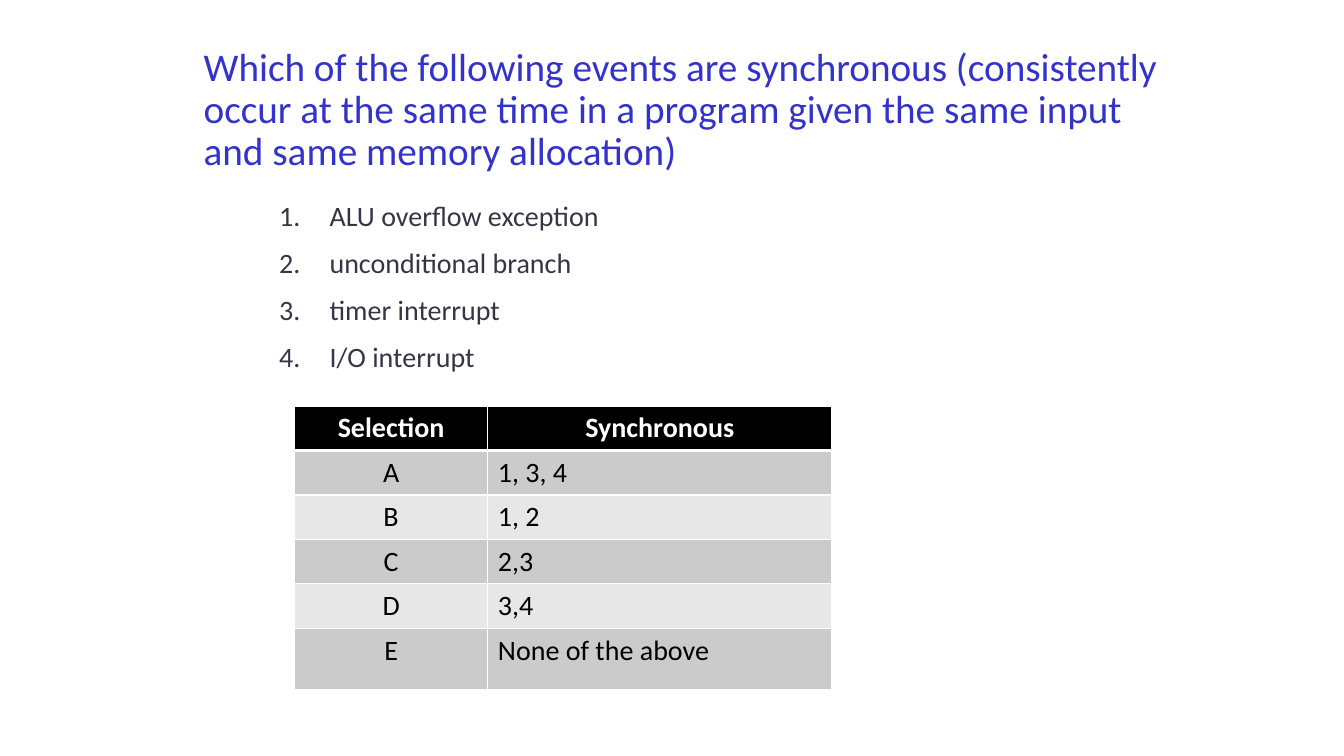
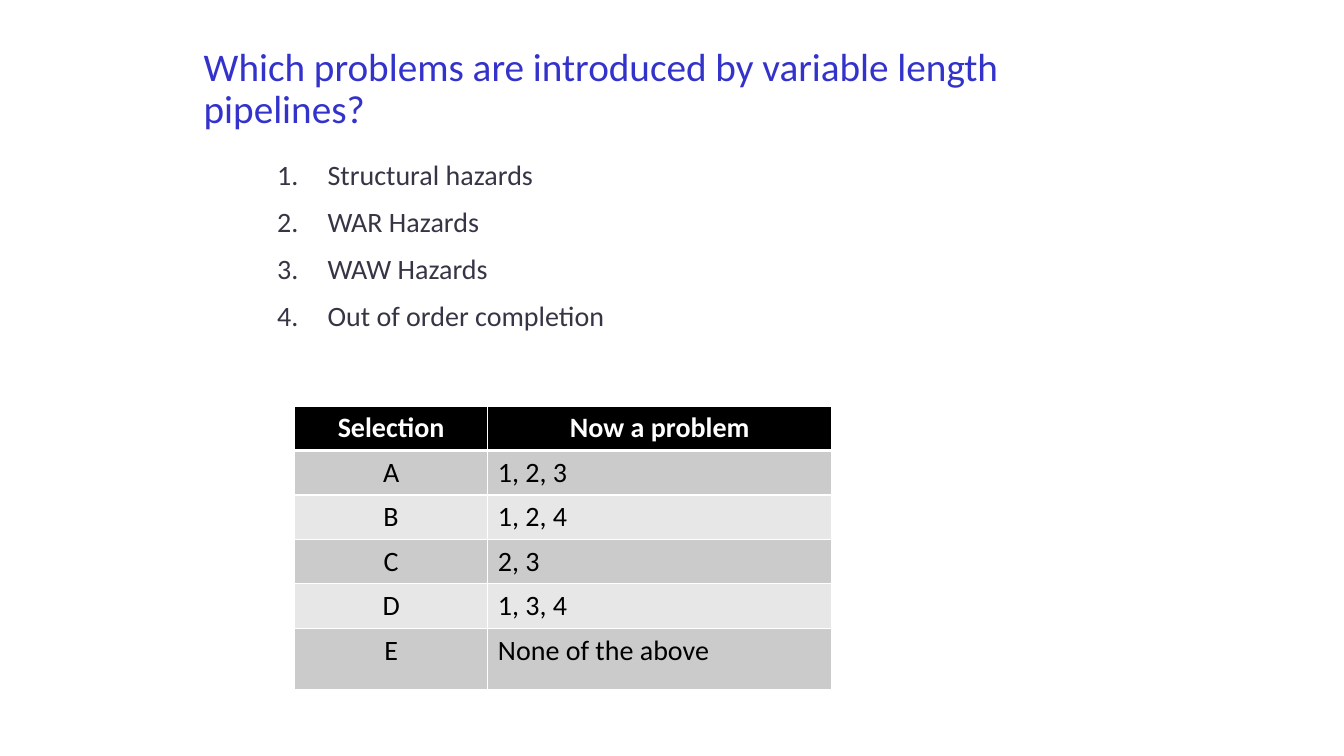
from lxml.etree import SubElement
from pptx import Presentation
from pptx.dml.color import RGBColor
from pptx.enum.text import MSO_ANCHOR as Anchor, MSO_AUTO_SIZE as AutoSize, PP_ALIGN as Align
from pptx.oxml import parse_xml
from pptx.oxml.ns import nsdecls, qn
from pptx.util import Inches, Pt

QUESTIONS = [
    {
        "title": "Which of the following events are synchronous (consistently occur at the same time "
                 "in a program given the same input and same memory allocation)",
        "statements": ["ALU overflow exception", "unconditional branch", "timer interrupt", "I/O interrupt"],
        "list_at": (2.67, 1.92),
        "heading": "Synchronous",
        "answers": ["1, 3, 4", "1, 2", "2,3", "3,4", "None of the above"],
    },
    {
        "title": "Which problems are introduced by variable length pipelines?",
        "statements": ["Structural hazards", "WAR Hazards", "WAW Hazards", "Out of order completion"],
        "list_at": (2.65, 1.51),
        "heading": "Now a problem",
        "answers": ["1, 2, 3", "1, 2, 4", "2, 3", "1, 3, 4", "None of the above"],
    },
]

THEME = {
    "white": RGBColor.from_string("FFFFFF"),
    "header": RGBColor.from_string("000000"),
    "bands": [RGBColor.from_string("CBCBCB"), RGBColor.from_string("E7E7E7")],
    "title": {"name": "Calibri", "size": Pt(28), "color": RGBColor.from_string("3333CC")},
    "list": {"name": "Calibri", "size": Pt(20), "color": RGBColor.from_string("373545")},
    "head": {"name": "Calibri", "size": Pt(20), "color": RGBColor.from_string("FFFFFF"), "bold": True},
    "cell": {"name": "Calibri", "size": Pt(20), "color": RGBColor.from_string("000000"), "bold": False},
}
SLIDE_SIZE = (13.33, 7.5)
TITLE_BOX = (1.92, 0.42, 9.67, 1.33)
LIST_SIZE = (7.75, 1.95)
TABLE_AT = (2.92, 4.03)
TABLE_WIDTH = 5.33
COLUMN_SHARES = (0.36, 0.64)
ROW_HEIGHT, LAST_ROW_HEIGHT = 0.44, 0.61
HANGING_INDENT = 0.5


def inches(*lengths):
    return [Inches(length) for length in lengths]


def set_font(paragraph, style):
    for attribute, value in style.items():
        if attribute == "color":
            paragraph.font.color.rgb = value
        else:
            setattr(paragraph.font, attribute, value)


def set_frame(frame):
    for attribute, value in {"word_wrap": True, "auto_size": AutoSize.NONE,
                             "vertical_anchor": Anchor.TOP}.items():
        setattr(frame, attribute, value)


def add_title(slide, text):
    title = slide.shapes.title
    title.left, title.top, title.width, title.height = inches(*TITLE_BOX)
    title.fill.solid()
    title.fill.fore_color.rgb = THEME["white"]
    set_frame(title.text_frame)
    title.text_frame.text = text
    paragraph = title.text_frame.paragraphs[0]
    paragraph.alignment = Align.LEFT
    paragraph.line_spacing = 0.9
    set_font(paragraph, THEME["title"])


def add_numbered_list(slide, statements, position):
    frame = slide.shapes.add_textbox(*inches(*position, *LIST_SIZE)).text_frame
    set_frame(frame)
    frame.text = "\n".join(statements)
    for index, paragraph in enumerate(frame.paragraphs):
        properties = paragraph._p.get_or_add_pPr()
        properties.set("marL", str(Inches(HANGING_INDENT)))
        properties.set("indent", str(-Inches(HANGING_INDENT)))
        SubElement(properties, qn("a:buFont"), typeface="+mj-lt")
        SubElement(properties, qn("a:buAutoNum"), type="arabicPeriod")
        paragraph.space_before = Pt(9.6 if index else 0)
        set_font(paragraph, THEME["list"])


def set_borders(cell, row):
    widths = {"L": 1, "R": 1, "T": 3 if row == 1 else 1, "B": 3 if row == 0 else 1}
    properties = cell._tc.get_or_add_tcPr()
    for index, (side, width) in enumerate(widths.items()):
        properties.insert(index, parse_xml(
            f'<a:ln{side} {nsdecls("a")} w="{Pt(width)}"><a:solidFill>'
            f'<a:srgbClr val="{THEME["white"]}"/></a:solidFill></a:ln{side}>'))


def add_answer_table(slide, heading, answers):
    rows = [("Selection", heading), *zip("ABCDE", answers)]
    heights = [ROW_HEIGHT] * (len(rows) - 1) + [LAST_ROW_HEIGHT]
    table = slide.shapes.add_table(
        len(rows), len(COLUMN_SHARES), *inches(*TABLE_AT, TABLE_WIDTH, sum(heights))).table
    table.horz_banding = False
    for column, share in zip(table.columns, COLUMN_SHARES):
        column.width = Inches(TABLE_WIDTH * share)
    for row, (texts, height) in enumerate(zip(rows, heights)):
        table.rows[row].height = Inches(height)
        for column, text in enumerate(texts):
            cell = table.cell(row, column)
            cell.text = text
            cell.fill.solid()
            cell.fill.fore_color.rgb = THEME["bands"][(row - 1) % 2] if row else THEME["header"]
            set_borders(cell, row)
            paragraph = cell.text_frame.paragraphs[0]
            paragraph.alignment = Align.LEFT if row and column else Align.CENTER
            set_font(paragraph, THEME["cell" if row else "head"])


def main():
    presentation = Presentation()
    presentation.slide_width, presentation.slide_height = inches(*SLIDE_SIZE)
    title_only = presentation.slide_layouts[5]
    for question in QUESTIONS:
        slide = presentation.slides.add_slide(title_only)
        add_title(slide, question["title"])
        add_answer_table(slide, question["heading"], question["answers"])
        add_numbered_list(slide, question["statements"], question["list_at"])
    presentation.save("out.pptx")


if __name__ == "__main__":
    main()
